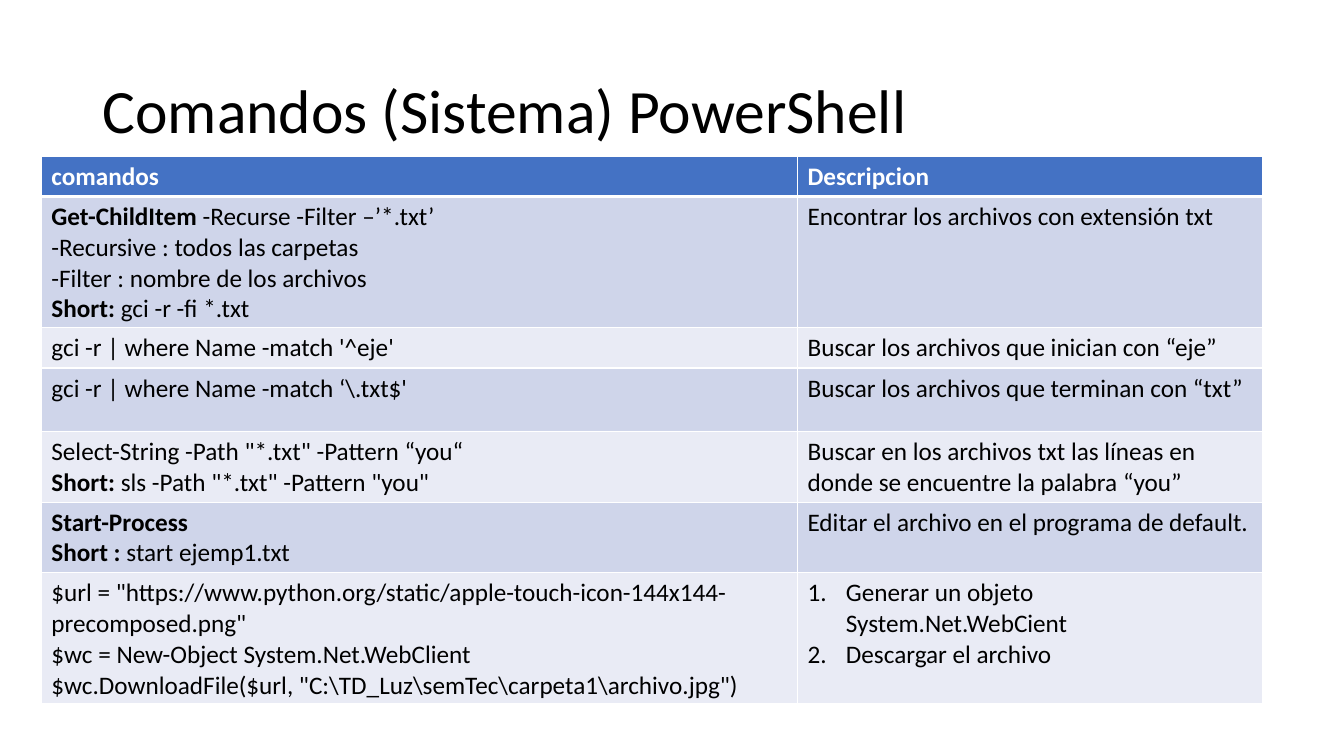
import pptx
import pptx.dml.color
import pptx.enum.text
import pptx.oxml
import pptx.oxml.ns
import pptx.util
from dataclasses import dataclass

Inches = pptx.util.Inches
Pt = pptx.util.Pt


@dataclass(frozen=True)
class Theme:
    font: str = "Calibri"
    title_size: int = 44
    cell_size: int = 18
    ink: str = "000000"
    white: str = "FFFFFF"
    header: str = "4472C4"
    bands: tuple = ("CFD5EA", "E9EBF5")


theme = Theme()


def add_run(paragraph, text, size, color, bold=False):
    run = paragraph.add_run()
    run.text = text
    run.font.name = theme.font
    run.font.size = Pt(size)
    run.font.bold = bold
    run.font.color.rgb = pptx.dml.color.RGBColor.from_string(color)


def add_border(cell, side, width):
    """Draw one white edge of a cell; side is L, R, T or B."""
    cell._tc.get_or_add_tcPr().append(pptx.oxml.parse_xml(
        f'<a:ln{side} {pptx.oxml.ns.nsdecls("a")} w="{Pt(width)}"><a:solidFill>'
        f'<a:srgbClr val="{theme.white}"/></a:solidFill></a:ln{side}>'))


# Each row: height, command lines, description lines, numbered description.
# A line is a pair: bold start, plain rest.
rows = [
    (0.36, [("comandos", "")], [("Descripcion", "")], False),
    (1.17, [("Get-ChildItem ", "-Recurse -Filter –’*.txt’"),
            ("", "-Recursive : todos las carpetas"),
            ("", "-Filter : nombre de los archivos"),
            ("Short: ", "gci -r -fi *.txt")],
     [("", "Encontrar los archivos con extensión txt")], False),
    (0.36, [("", "gci -r | where Name -match '^eje'")],
     [("", "Buscar los archivos que inician con “eje”")], False),
    (0.63, [("", "gci -r | where Name -match ‘\\.txt$'")],
     [("", "Buscar los archivos que terminan con “txt”")], False),
    (0.63, [("", 'Select-String -Path "*.txt" -Pattern “you“'),
            ("Short: ", 'sls -Path "*.txt" -Pattern "you"')],
     [("", "Buscar en los archivos txt las líneas en donde se encuentre la palabra “you”")],
     False),
    (0.63, [("Start-Process", ""), ("Short : ", "start ejemp1.txt")],
     [("", "Editar el archivo en el programa de default.")], False),
    (1.17, [("", '$url = "https://www.python.org/static/'
                 'apple-touch-icon-144x144-precomposed.png"'),
            ("", "$wc = New-Object System.Net.WebClient"),
            ("", '$wc.DownloadFile($url, "C:\\TD_Luz\\semTec\\carpeta1\\archivo.jpg")')],
     [("", "Generar un objeto System.Net.WebCient"),
      ("", "Descargar el archivo")], True),
]

presentation = pptx.Presentation()
presentation.slide_width = Inches(13.33)
presentation.slide_height = Inches(7.5)
slide = presentation.slides.add_slide(presentation.slide_layouts[6])

title = slide.shapes.add_textbox(
    Inches(0.92), Inches(0.4), Inches(11.5), Inches(1.45)).text_frame
title.word_wrap = True
title.vertical_anchor = pptx.enum.text.MSO_ANCHOR.MIDDLE
title.paragraphs[0].line_spacing = 0.9
add_run(title.paragraphs[0], "Comandos (Sistema) PowerShell", theme.title_size, theme.ink)

commands = slide.shapes.add_table(
    len(rows), 2, Inches(0.41), Inches(1.55), Inches(12.11), Inches(5.43)).table
for column, width in zip(commands.columns, (7.5, 4.61)):
    column.width = Inches(width)

for row_index, (height, command, description, numbered) in enumerate(rows):
    commands.rows[row_index].height = Inches(height)
    is_header = row_index == 0
    fill = theme.header if is_header else theme.bands[(row_index - 1) % 2]
    color = theme.white if is_header else theme.ink
    for column_index, lines in enumerate((command, description)):
        cell = commands.cell(row_index, column_index)
        for side in "LRTB":
            thick = (is_header and side == "B") or (row_index == 1 and side == "T")
            add_border(cell, side, 3 if thick else 1)
        cell.fill.solid()
        cell.fill.fore_color.rgb = pptx.dml.color.RGBColor.from_string(fill)
        for line_index, (bold_text, plain_text) in enumerate(lines):
            frame = cell.text_frame
            paragraph = frame.paragraphs[0] if line_index == 0 else frame.add_paragraph()
            if numbered and column_index == 1:
                properties = paragraph._p.get_or_add_pPr()
                properties.set("marL", str(Inches(0.38)))
                properties.set("indent", str(-Inches(0.38)))
                properties.append(pptx.oxml.parse_xml(
                    f'<a:buAutoNum {pptx.oxml.ns.nsdecls("a")} type="arabicPeriod"/>'))
            for text, bold in ((bold_text, True), (plain_text, False)):
                if text:
                    add_run(paragraph, text, theme.cell_size, color, bold)

presentation.save("out.pptx")
